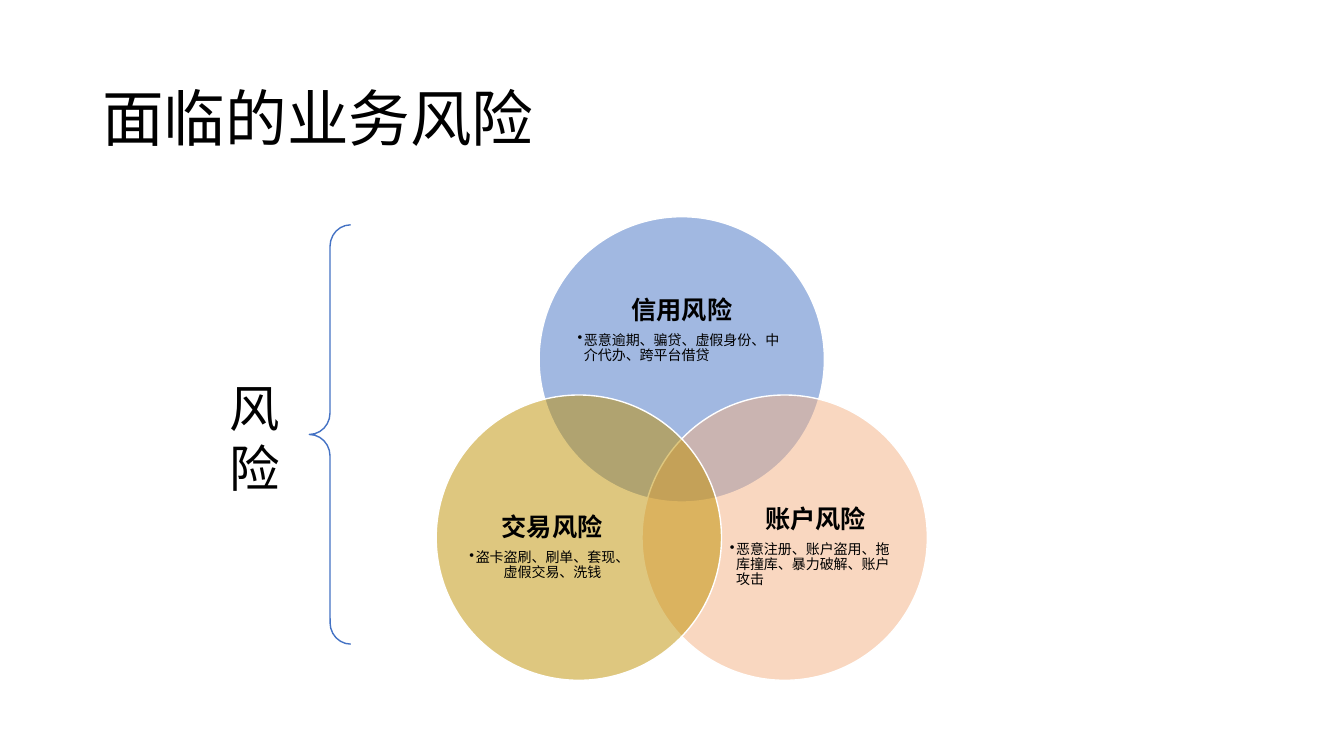
"""Build a slide that shows business risks as three overlapping circles."""
from math import cos, radians, sin

from lxml.etree import SubElement
from pptx import Presentation
from pptx.dml.color import RGBColor
from pptx.enum.shapes import MSO_SHAPE as Shape
from pptx.enum.text import MSO_ANCHOR as Anchor, PP_ALIGN as Align
from pptx.oxml.ns import qn
from pptx.util import Pt

TITLE = "面临的业务风险"
LABEL = "风险"
RISKS = [
    dict(heading="信用风险", detail="恶意逾期、骗贷、虚假身份、中介代办、跨平台借贷",
         color="4472C4", angle=-90, box=(412.6, 190, 149, 91.5), align=Align.LEFT),
    dict(heading="账户风险", detail="恶意注册、账户盗用、拖库撞库、暴力破解、账户攻击",
         color="F4B183", angle=30, box=(521.3, 334.8, 122.4, 112.3), align=Align.LEFT),
    dict(heading=" 交易风险", detail="盗卡盗刷、刷单、套现、虚假交易、洗钱",
         color="BF9000", angle=150, box=(331.2, 334.8, 122.4, 112.3), align=Align.CENTER),
]
THEME = dict(font="Noto Sans CJK SC", text="000000", outline="FFFFFF", brace="4472C4",
             title=44, label=36, heading=18, detail=10)
CENTER_X, CENTER_Y, ORBIT, DIAMETER = 487, 341.6, 84.9, 203.8
INDENT = 4.5


def add_box(slide, bounds, insets=(0, 0, 0, 0), anchor=Anchor.TOP):
    """Add a wrapping text box and return its text frame."""
    frame = slide.shapes.add_textbox(*map(Pt, bounds)).text_frame
    frame.word_wrap = True
    frame.vertical_anchor = anchor
    frame.margin_left, frame.margin_top, frame.margin_right, frame.margin_bottom = map(Pt, insets)
    return frame


def write(paragraph, text, size, line, align=Align.LEFT, bold=False, after=0, bullet=False):
    """Write formatted text into a paragraph."""
    paragraph.alignment = align
    paragraph.line_spacing = Pt(line)
    paragraph.space_after = Pt(after)
    if bullet:
        properties = paragraph._p.get_or_add_pPr()
        properties.set("marL", str(Pt(INDENT)))
        properties.set("indent", str(-Pt(INDENT)))
        SubElement(properties, qn("a:buChar"), char="•")
    run = paragraph.add_run()
    run.text = text
    font = run.font
    font.name, font.size, font.bold = THEME["font"], Pt(size), bold
    font.color.rgb = RGBColor.from_string(THEME["text"])
    SubElement(font._element, qn("a:ea"), typeface=THEME["font"])


def add_outlined(slide, kind, bounds, line, fill=None):
    """Add a preset shape with a thin line and an optional half-transparent fill."""
    shape = slide.shapes.add_shape(kind, *map(Pt, bounds))
    shape.shadow.inherit = False
    shape.line.color.rgb = RGBColor.from_string(line)
    shape.line.width = Pt(1)
    if fill:
        shape.fill.solid()
        shape.fill.fore_color.rgb = RGBColor.from_string(fill)
        color = shape._element.spPr.find(qn("a:solidFill")).find(qn("a:srgbClr"))
        SubElement(color, qn("a:alpha"), val="50000")
    else:
        shape.fill.background()
    return shape


def add_risk(slide, risk):
    """Add one circle of the diagram and its text."""
    angle = radians(risk["angle"])
    left = CENTER_X + ORBIT * cos(angle) - DIAMETER / 2
    top = CENTER_Y + ORBIT * sin(angle) - DIAMETER / 2
    add_outlined(slide, Shape.OVAL, (left, top, DIAMETER, DIAMETER),
                 THEME["outline"], risk["color"])
    frame = add_box(slide, risk["box"], anchor=Anchor.MIDDLE)
    write(frame.paragraphs[0], risk["heading"], THEME["heading"], 19.3,
          align=Align.CENTER, bold=True, after=6.3)
    write(frame.add_paragraph(), risk["detail"], THEME["detail"], 10.7,
          align=risk["align"], after=1.5, bullet=True)


presentation = Presentation()
presentation.slide_width, presentation.slide_height = Pt(960), Pt(540)
slide = presentation.slides.add_slide(presentation.slide_layouts[6])

title = add_box(slide, (66, 56.2, 828, 104.4), (7.2, 3.6, 7.2, 3.6))
write(title.paragraphs[0], TITLE, THEME["title"], 50)
for risk in RISKS:
    add_risk(slide, risk)
label = add_box(slide, (157, 262.8, 56.2, 94.3), (7.2, 6.6, 7.2, 3.6))
write(label.paragraphs[0], LABEL, THEME["label"], 43)
brace = add_outlined(slide, Shape.LEFT_BRACE, (221, 160.6, 29.5, 299.5), THEME["brace"])
brace.adjustments[0] = 0.52

presentation.save("out.pptx")
